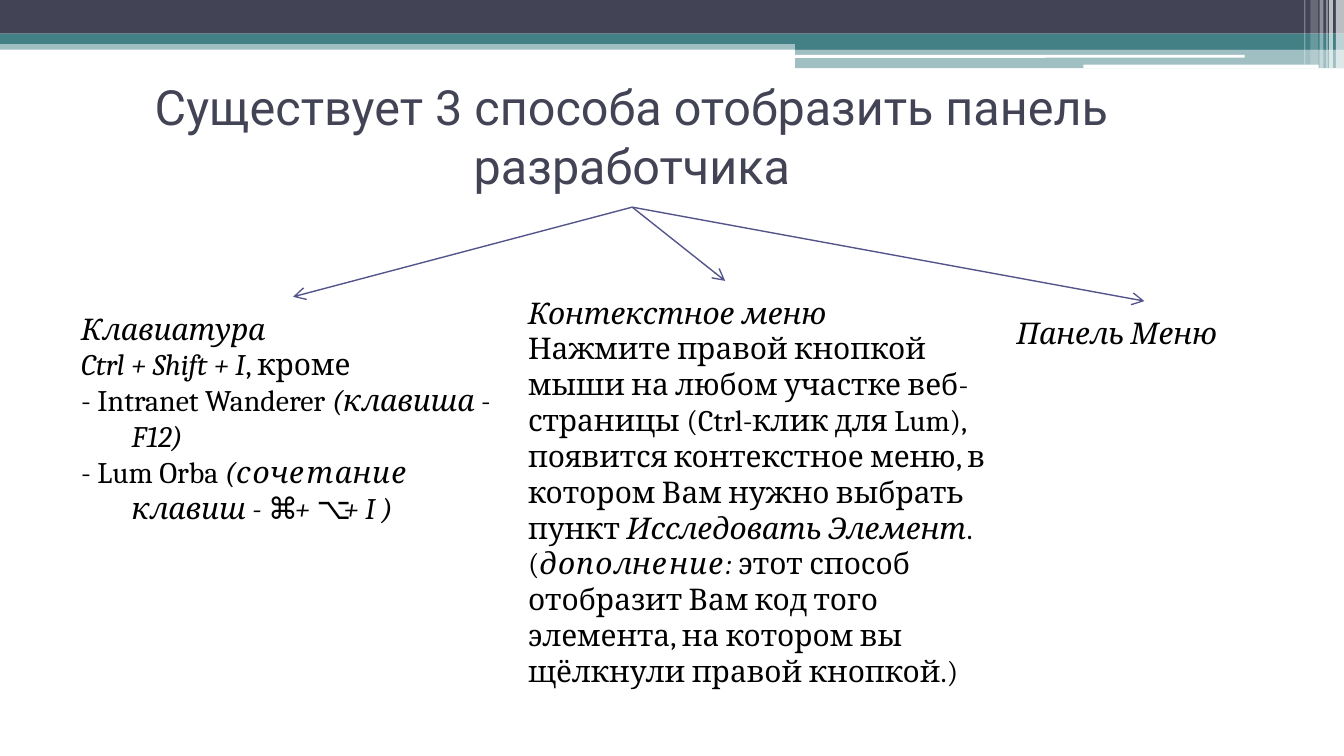
"""Build a slide on three ways to open the developer panel."""
from lxml.etree import SubElement
from pptx import Presentation
from pptx.dml.color import RGBColor
from pptx.enum.shapes import MSO_CONNECTOR as CONN, MSO_SHAPE as SHAPE
from pptx.enum.text import MSO_ANCHOR as ANCHOR, PP_ALIGN as ALIGN
from pptx.oxml.ns import qn
from pptx.util import Pt

NAVY = RGBColor(0x42, 0x44, 0x56)
TEAL = RGBColor(0x43, 0x80, 0x86)
INDIGO = RGBColor(0x53, 0x54, 0x8A)
WHITE = RGBColor(0xFF, 0xFF, 0xFF)
BLACK = RGBColor(0, 0, 0)

prs = Presentation()
prs.slide_width, prs.slide_height = Pt(720), Pt(405)
s = prs.slides.add_slide(prs.slide_layouts[6])


def add_bar(kind, box, color, opacity):
    sp = s.shapes.add_shape(kind, *map(Pt, box))
    sp.shadow.inherit = False
    sp.line.fill.background()
    sp.fill.solid()
    sp.fill.fore_color.rgb = color
    if opacity < 100:
        clr = sp.fill._xPr.find(qn("a:solidFill"))[0]
        SubElement(clr, qn("a:alpha"), val=str(opacity * 1000))


def add_text(box, paragraphs, fmt, para, indent=0):
    sp = s.shapes.add_textbox(*map(Pt, box))
    tf = sp.text_frame
    tf.word_wrap = True
    for side in ("left", "top", "right", "bottom"):
        setattr(tf, f"margin_{side}", Pt(7.2))
    for i, runs in enumerate(paragraphs):
        p = tf.add_paragraph() if i else tf.paragraphs[0]
        for name, value in para.items():
            setattr(p, name, value)
        if indent:
            pPr = p._p.get_or_add_pPr()
            pPr.set("marL", str(Pt(indent)))
            pPr.set("indent", str(Pt(-27)))
        for text, italic in runs:
            r = p.add_run()
            r.text = text
            r.font.italic = italic
            r.font.color.rgb = fmt["color"]
            for name in ("name", "size"):
                setattr(r.font, name, fmt[name])
    return sp


for box, color, opacity in [
    ((0, 21.6, 720, 5), TEAL, 50),
    ((0, 0, 720, 18), NAVY, 100),
    ((0, 18, 720, 5.6), TEAL, 100),
    ((426, 21.6, 294, 5), TEAL, 100),
    ((426, 26, 294, 10.6), TEAL, 50),
]:
    add_bar(SHAPE.RECTANGLE, box, color, opacity)

for box in [(425.6, 29.4, 241.2, 1.6), (580.4, 34.6, 126, 2)]:
    add_bar(SHAPE.ROUNDED_RECTANGLE, box, WHITE, 100)

for left, width, height, opacity in [
    (715.6, 4.4, 36.6, 65),
    (712, 2, 36.6, 65),
    (710.6, 0.7, 36.6, 60),
    (707, 2, 36.6, 40),
    (702, 4.2, 34.6, 20),
    (698.6, 0.7, 34.6, 30),
]:
    add_bar(SHAPE.RECTANGLE, (left, 0, width, height), WHITE, opacity)

title = add_text(
    (15.8, 34, 645.8, 77),
    [[("Существует 3 способа отобразить панель разработчика", False)]],
    {"name": "Roboto", "size": Pt(26), "color": NAVY},
    {"alignment": ALIGN.CENTER, "line_spacing": Pt(31.6)},
)
title.text_frame.vertical_anchor = ANCHOR.MIDDLE

keyboard = [
    [("Клавиатура", True)],
    [("Ctrl + Shift + I", True), (", кроме", False)],
    [("- Intranet Wanderer ", False), ("(клавиша - F12)", True)],
    [("- Lum Orba ", False), ("(сочетание клавиш - ⌘ + ⌥ + I )", True)],
]
panel_menu = [[("Панель Меню", True)]]
context_menu = [
    [("	Контекстное меню", True)],
    [
        ("	Нажмите правой кнопкой мыши на любом участке веб-страницы "
         "(Ctrl-клик для Lum), появится контекстное меню, в котором Вам "
         "нужно выбрать пункт ", False),
        ("Исследовать Элемент", True),
        (". (", False),
        ("дополнение: ", True),
        ("этот способ отобразит Вам код того элемента, на котором вы "
         "щёлкнули правой кнопкой.)", False),
    ],
]
body = {"name": "Cambria", "size": Pt(16), "color": BLACK}
for left, top, width, paragraphs in [
    (27.4, 159, 259.2, keyboard),
    (528.5, 161.3, 169.2, panel_menu),
    (239.8, 150.5, 297.4, context_menu),
]:
    sp = add_text((left, top, width, 232.6), paragraphs, body,
                  {"alignment": ALIGN.LEFT, "line_spacing": Pt(19.2)}, 36)
    arrow = s.shapes.add_connector(CONN.STRAIGHT, 0, 0, 0, 0)
    arrow.begin_connect(title, 2)
    arrow.end_connect(sp, 0)
    arrow.line.color.rgb = INDIGO
    arrow.line.width = Pt(0.75)
    SubElement(arrow.line._get_or_add_ln(), qn("a:tailEnd"), type="arrow")
    SubElement(arrow._element.spPr, qn("a:effectLst"))

prs.save("out.pptx")
